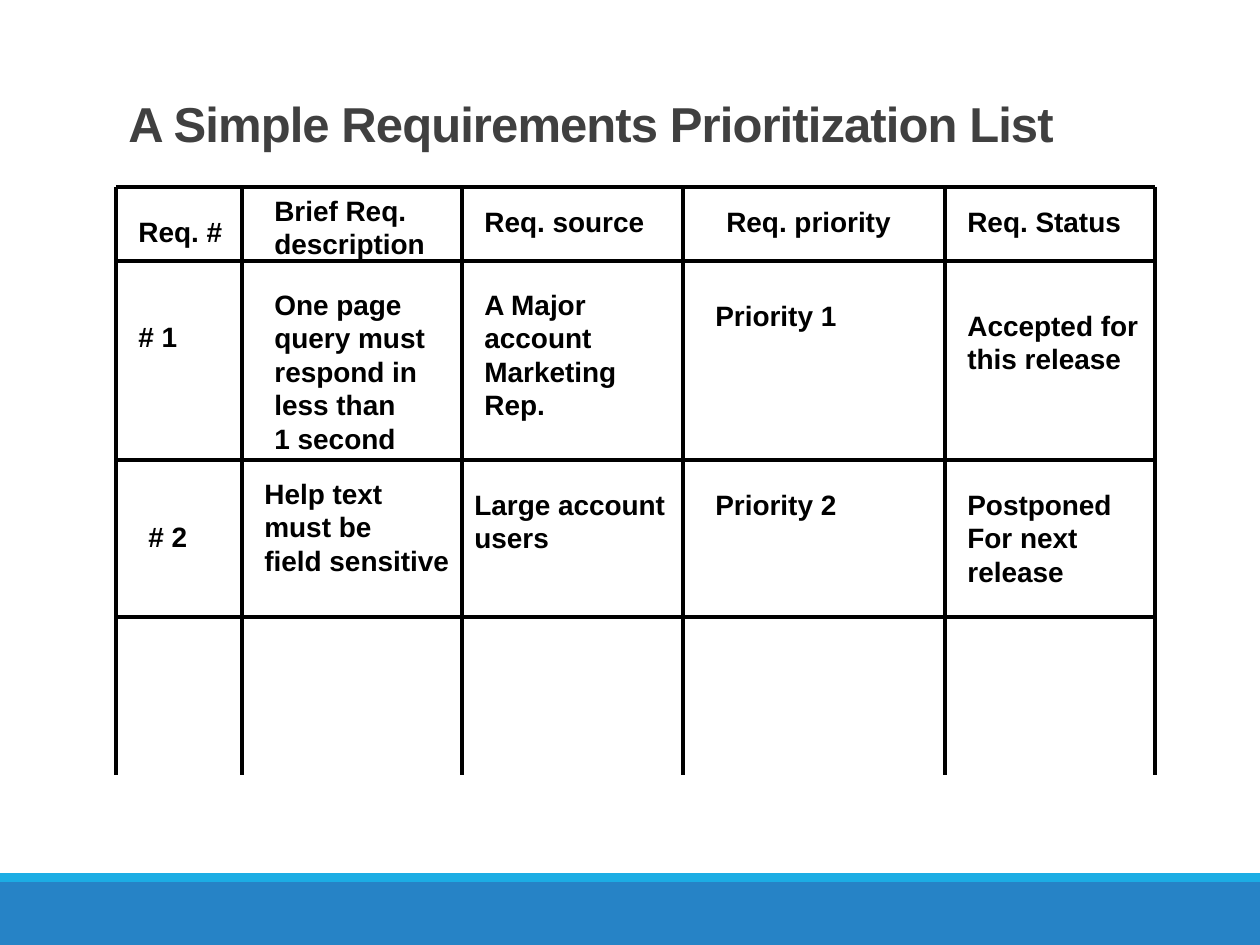
from pptx import Presentation
from pptx import util as u
from pptx.dml.color import RGBColor
from pptx.enum import shapes, text
from lxml import etree

BLACK = RGBColor(0x00, 0x00, 0x00)
GREY = RGBColor(0x40, 0x40, 0x40)
BLUE = RGBColor(0x26, 0x83, 0xC6)
SKY = RGBColor(0x1C, 0xAD, 0xE4)
NS = "http://schemas.openxmlformats.org/drawingml/2006/main"


def px(n):
    return u.Emu(n * 914400 // 126)


class Page:
    font = "Arial"

    def __init__(self, slide):
        self.slide = slide

    def band(self, top, high, fill):
        s = self.slide.shapes.add_shape(
            shapes.MSO_SHAPE.RECTANGLE, 0, px(top), px(1260), px(high))
        s.shadow.inherit = False
        s.fill.solid()
        s.fill.fore_color.rgb = fill
        s.line.fill.background()

    def line(self, x1, y1, x2, y2):
        c = self.slide.shapes.add_connector(
            shapes.MSO_CONNECTOR.STRAIGHT, px(x1), px(y1), px(x2), px(y2))
        c.line.color.rgb = BLACK
        c.line.width = u.Pt(2)
        etree.SubElement(c._element.spPr, f"{{{NS}}}effectLst")

    def box(self, x, y, wide, high, lines, size, color):
        b = self.slide.shapes.add_textbox(px(x), px(y), px(wide), px(high))
        frame = b.text_frame
        frame.text = lines
        for p in frame.paragraphs:
            p.font.name = self.font
            p.font.size = u.Pt(size)
            p.font.bold = True
            p.font.color.rgb = color
        return frame

    def title(self, x, y, wide, high, words):
        frame = self.box(x, y, wide, high, words, 28, GREY)
        frame.word_wrap = True
        frame.vertical_anchor = text.MSO_ANCHOR.BOTTOM
        p = frame.paragraphs[0]
        p.line_spacing = 0.85
        p.runs[0].font._element.set("spc", "-50")

    def label(self, x, y, wide, lines):
        high = 13 + 34 * len(lines.split("\n"))
        frame = self.box(x, y, wide, high, lines, 16, BLACK)
        frame.word_wrap = False
        frame.auto_size = text.MSO_AUTO_SIZE.SHAPE_TO_FIT_TEXT


# Grid: the last row stays open at the bottom
COLS = [116, 242, 462, 683, 945, 1155]
ROWS = [187, 261, 460, 617]
END = 775

# Labels: left, top, width, lines
LABELS = [
    # Header
    (126, 208, 110, "Req. #"),
    (262, 187, 176, "Brief Req.\ndescription"),
    (472, 198, 185, "Req. source"),
    (714, 198, 190, "Req. priority"),
    (955, 198, 179, "Req. Status"),
    # First requirement
    (126, 313, 64, "# 1"),
    (262, 281, 184, "One page\nquery must\nrespond in\nless than\n1 second"),
    (472, 281, 158, "A Major\naccount\nMarketing\nRep."),
    (703, 292, 147, "Priority 1"),
    (955, 302, 197, "Accepted for\nthis release"),
    # Second requirement
    (136, 513, 64, "# 2"),
    (252, 470, 219, "Help text\nmust be\nfield sensitive"),
    (462, 481, 217, "Large account\nusers"),
    (703, 481, 147, "Priority 2"),
    (955, 481, 170, "Postponed\nFor next\nrelease"),
]


def main():
    deck = Presentation()
    deck.slide_width, deck.slide_height = px(1260), px(945)
    page = Page(deck.slides.add_slide(deck.slide_layouts[6]))

    # Footer bands
    page.band(882, 63, BLUE)
    page.band(873, 9, SKY)

    page.title(116, 63, 1037, 96, "A Simple Requirements Prioritization List")

    # Grid lines
    for y in ROWS:
        page.line(COLS[0], y, COLS[-1], y)
    for x in COLS:
        page.line(x, ROWS[0], x, END)

    # Cell text
    for item in LABELS:
        page.label(*item)

    deck.save("out.pptx")


if __name__ == "__main__":
    main()
